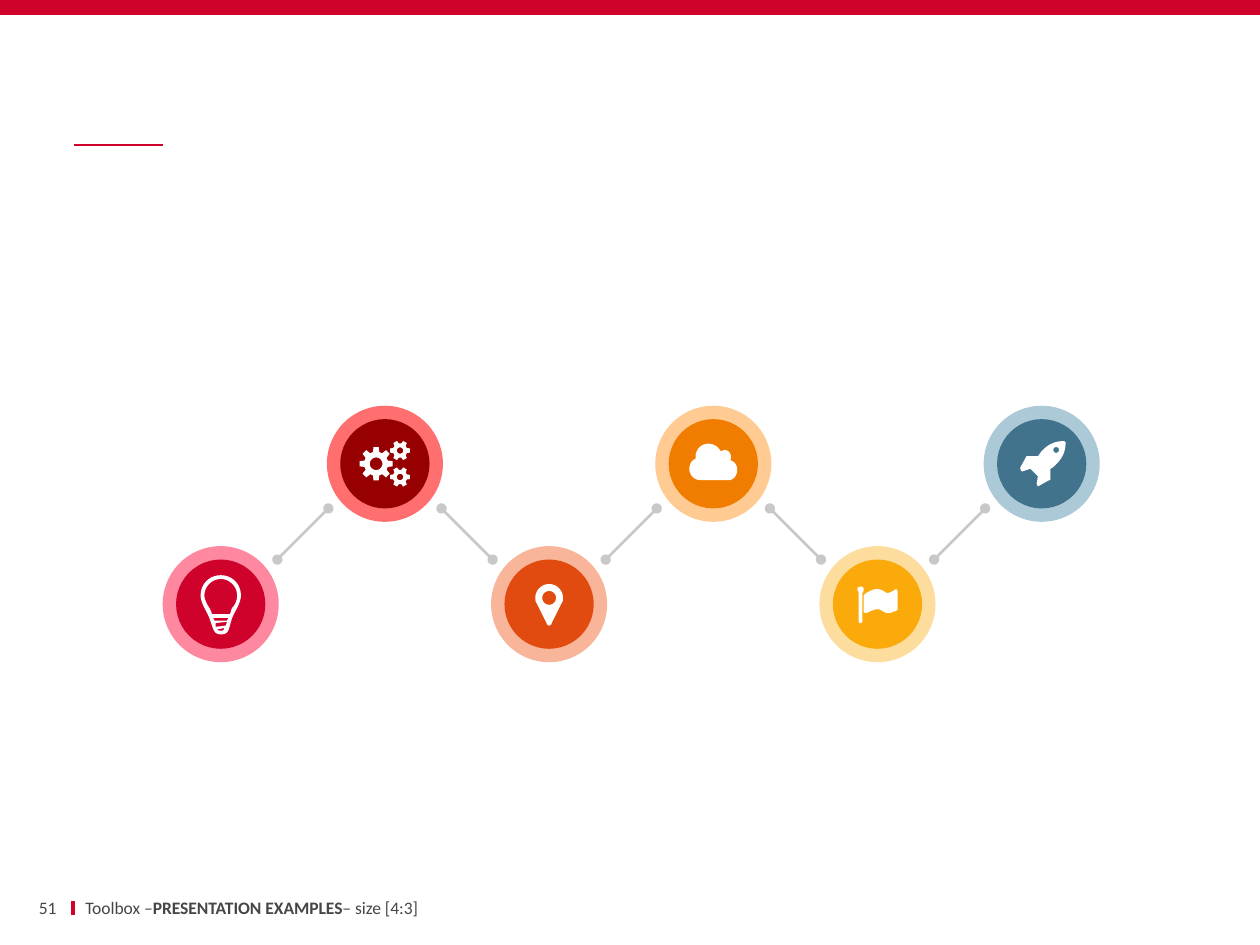
from math import cos, pi, sin

from lxml.etree import SubElement
from pptx import Presentation
from pptx.dml.color import RGBColor
from pptx.enum.shapes import MSO_CONNECTOR, MSO_SHAPE
from pptx.enum.text import MSO_ANCHOR, PP_ALIGN
from pptx.oxml.ns import qn
from pptx.util import Cm, Pt

RED, GREY, TEXT, WHITE = "CF022B", "C8C8C8", "464646", "FFFFFF"
UNIT = 0.0254
START, STEP = 4.45, 3.31
LOW, HIGH = 12.18, 9.35
OUTER, INNER = 2.34, 1.8
REACH, DROP = 1.14, 0.9


def tint(code):
    return RGBColor.from_string(code)


def ring(x, y, size, count=24):
    turns = [2 * pi * i / count for i in range(count)]
    return [(x + size * cos(t), y + size * sin(t)) for t in turns]


def gear(x, y, size, teeth, hole):
    edge = []
    for i in range(teeth):
        for part, far in ((-0.34, 0.72), (-0.2, 1), (0.2, 1), (0.34, 0.72)):
            turn = 2 * pi * (i + part) / teeth
            edge.append((x + far * size * cos(turn), y + far * size * sin(turn)))
    return [edge, ring(x, y, hole)]


def flat(steps, count=10):
    """Turn line steps (x, y) and cubic steps (x1, y1, x2, y2, x, y) into points."""
    dots = []
    for step in steps:
        if len(step) == 2:
            dots.append(step)
            continue
        ends = [dots[-1], step[:2], step[2:4], step[4:]]
        for i in range(1, count + 1):
            t = i / count
            parts = ((1 - t) ** 3, 3 * t * (1 - t) ** 2, 3 * t * t * (1 - t), t ** 3)
            dots.append(tuple(sum(w * e[k] for w, e in zip(parts, ends)) for k in (0, 1)))
    return dots


BULB = [
    [(0, -23), (-9, -23, -16, -16, -16, -7), (-16, -1, -11, 6, -9, 11),
     (-6, 19, -6, 24, 0, 24), (7, 24, 6, 20, 9, 11), (11, 6, 16, -1, 16, -7),
     (16, -16, 9, -23, 0, -23)],
    [(4, 17), (-4, 18), (-4, 15), (5, 14)],
    [(-5, 13), (-6, 11), (6, 11), (5, 13)],
    [(0, 21), (-1, 21, -2, 21, -3, 20), (3, 19), (2, 21, 2, 21, 0, 21)],
    [(7, 8), (-7, 8), (-7, 7, -8, 5, -9, 3), (-11, 0, -13, -4, -13, -7),
     (-13, -14, -7, -20, 0, -20), (7, -20, 13, -14, 13, -7),
     (13, -4, 12, 0, 9, 3), (8, 5, 8, 7, 7, 8)],
]
GEARS = gear(-7, 0, 13.3, 8, 5) + gear(12, -10.5, 8, 6, 2.5) + gear(12, 10.5, 8, 6, 2.5)
PIN = [
    [(10, -1), (2, 15), (2, 16, 1, 17, 0, 17), (-1, 17, -2, 16, -2, 15), (-10, -1),
     (-11, -2, -11, -4, -11, -5), (-11, -11, -6, -16, 0, -16),
     (6, -16, 11, -11, 11, -5), (11, -4, 11, -2, 10, -1)],
    ring(0, -5, 5.5),
]
CLOUD = [
    [(12, 13), (-10, 13), (-15, 13, -19, 9, -19, 4), (-19, 0, -17, -3, -14, -4),
     (-14, -6), (-14, -11, -10, -16, -4, -16), (1, -16, 4, -13, 6, -10),
     (7, -10, 8, -11, 9, -11), (12, -11, 14, -8, 14, -6), (14, -4, 14, -3, 13, -3),
     (17, -2, 19, 1, 19, 5), (19, 9, 16, 13, 12, 13)],
]
FLAG = [
    [(-12, -9), (-12, 14), (-13, 15), (-14, 15), (-15, 14), (-15, -9),
     (-15, -10, -16, -11, -16, -12), (-16, -13, -15, -14, -13, -14),
     (-12, -14, -11, -13, -11, -12), (-11, -11, -11, -10, -12, -9)],
    [(16, 4), (16, 4, 16, 5, 15, 5), (13, 6, 11, 7, 8, 7), (5, 7, 3, 4, 0, 4),
     (-3, 4, -6, 6, -9, 7), (-10, 7), (-11, 6), (-11, -7), (-9, -9),
     (-6, -10, -4, -12, -1, -12), (2, -12, 4, -11, 7, -9), (8, -9),
     (11, -9, 14, -12, 15, -12), (16, -10)],
]
ROCKET = [
    [(11, 1), (10, 2, 9, 3, 7, 4), (7, 13), (6, 13), (-3, 18), (-4, 16), (-3, 10),
     (-9, 4), (-15, 6), (-16, 6), (-17, 4), (-17, 3), (-12, -6), (-3, -6),
     (-2, -7, -1, -9, 1, -11), (6, -16, 11, -18, 18, -18), (19, -17),
     (19, -10, 17, -5, 11, 1)],
    ring(11.5, -11, 2.3),
]
STAGES = [
    ("FE889F", RED, BULB),
    ("FF6F6F", "960000", GEARS),
    ("F8B59A", "E14B0F", PIN),
    ("FFCB93", "F07D00", CLOUD),
    ("FDDD9D", "FAAA0A", FLAG),
    ("ACC9D8", "41738C", ROCKET),
]


class Deck:
    """Holds the text style and the current slide."""

    def __init__(self, slide, font="Calibri", size=10):
        self.slide, self.font, self.size = slide, font, size
        self.shapes = slide.shapes

    def paint(self, shape, fill):
        shape.shadow.inherit = False
        shape.fill.solid()
        shape.fill.fore_color.rgb = tint(fill)
        shape.line.fill.background()

    def block(self, kind, x, y, w, h, fill):
        self.paint(self.shapes.add_shape(kind, Cm(x), Cm(y), Cm(w), Cm(h)), fill)

    def disc(self, x, y, size, fill):
        self.block(MSO_SHAPE.OVAL, x - size / 2, y - size / 2, size, size, fill)

    def line(self, x1, y1, x2, y2, color, width, dots=False):
        rule = self.shapes.add_connector(
            MSO_CONNECTOR.STRAIGHT, Cm(x1), Cm(y1), Cm(x2), Cm(y2))
        rule.line.color.rgb = tint(color)
        rule.line.width = Pt(width)
        if dots:
            for end in ("a:headEnd", "a:tailEnd"):
                SubElement(rule.line._get_or_add_ln(), qn(end), type="oval")
        SubElement(rule._element.spPr, qn("a:effectLst"))

    def icon(self, x, y, loops):
        pen = None
        for loop in loops:
            first, *rest = [(Cm(x + UNIT * a), Cm(y + UNIT * b)) for a, b in flat(loop)]
            if pen is None:
                pen = self.shapes.build_freeform(*first, scale=1.0)
            else:
                pen.move_to(*first)
            pen.add_line_segments(rest, close=True)
        self.paint(pen.convert_to_shape(), WHITE)

    def text(self, x, y, w, h, runs, pad=0, align=PP_ALIGN.LEFT):
        frame = self.shapes.add_textbox(Cm(x), Cm(y), Cm(w), Cm(h)).text_frame
        frame.word_wrap = True
        frame.vertical_anchor = MSO_ANCHOR.MIDDLE
        frame.margin_left = frame.margin_right = Cm(pad)
        para = frame.paragraphs[0]
        para.alignment = align
        para.font.name, para.font.size = self.font, Pt(self.size)
        para.font.color.rgb = tint(TEXT)
        for words, bold in runs:
            run = para.add_run()
            run.text = words
            if bold:
                run.font.bold = True


def main():
    show = Presentation()
    show.slide_width, show.slide_height = Cm(25.4), Cm(19.05)
    deck = Deck(show.slides.add_slide(show.slide_layouts[6]))

    deck.line(1.47, 18.16, 1.47, 18.44, RED, 2.25)
    deck.line(1.5, 2.92, 3.28, 2.92, RED, 1)
    deck.block(MSO_SHAPE.RECTANGLE, 0, 0, 25.4, 0.3, RED)

    spots = [(START + STEP * i, HIGH if i % 2 else LOW) for i in range(len(STAGES))]
    for (x, y), (rim, core, loops) in zip(spots, STAGES):
        deck.disc(x, y, OUTER, rim)
        deck.disc(x, y, INNER, core)
        deck.icon(x, y, loops)
    for (x1, y1), (x2, y2) in zip(spots, spots[1:]):
        shift = DROP if y2 > y1 else -DROP
        deck.line(x1 + REACH, y1 + shift, x2 - REACH, y2 - shift, GREY, 1.5, dots=True)

    deck.text(0.33, 18.06, 0.81, 0.46, [("51", False)], align=PP_ALIGN.RIGHT)
    deck.text(1.47, 18.06, 12.62, 0.46, [
        ("Toolbox –", False), ("PRESENTATION EXAMPLES", True), ("– size [4:3]", False),
    ], pad=0.25)
    show.save("out.pptx")


if __name__ == "__main__":
    main()
